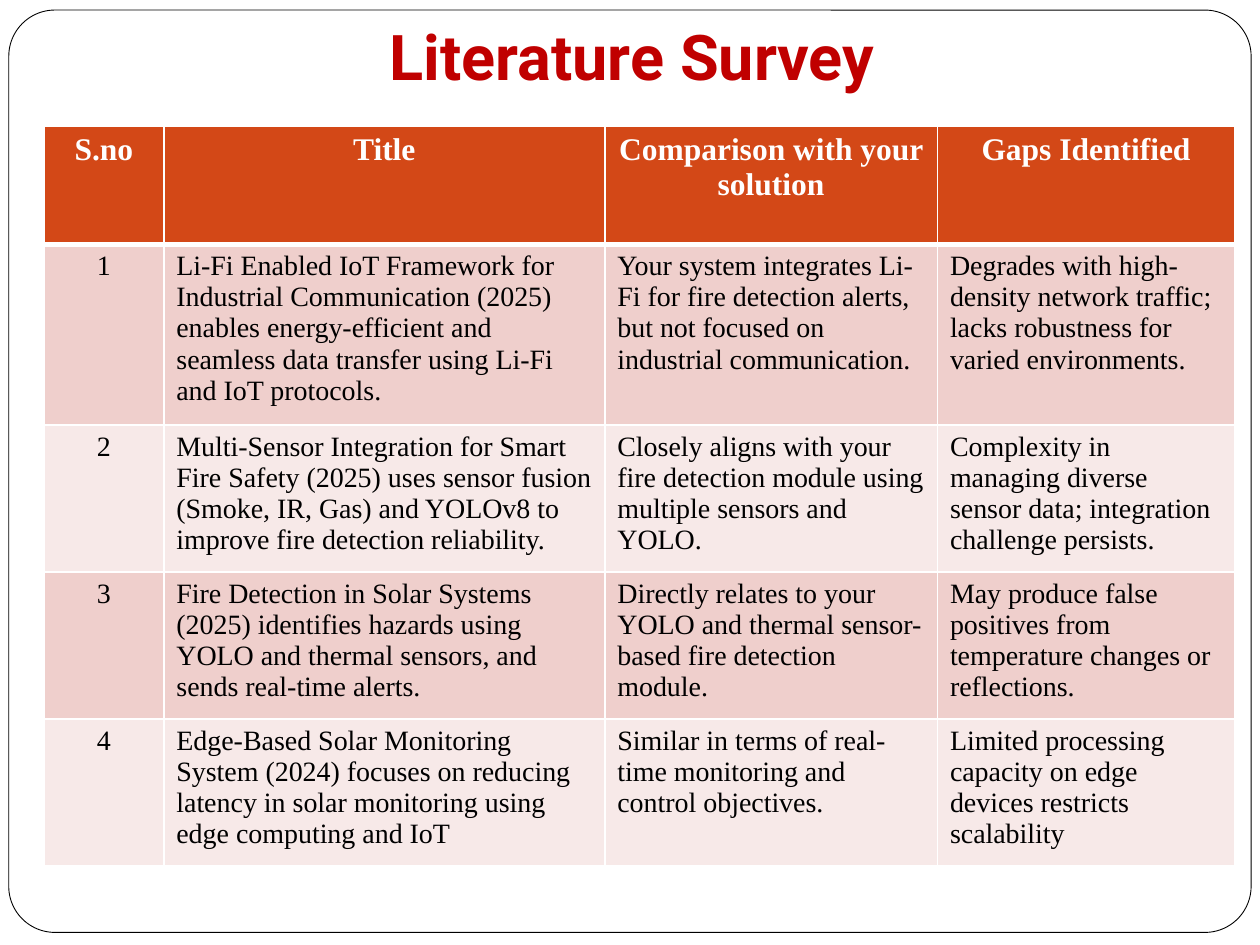
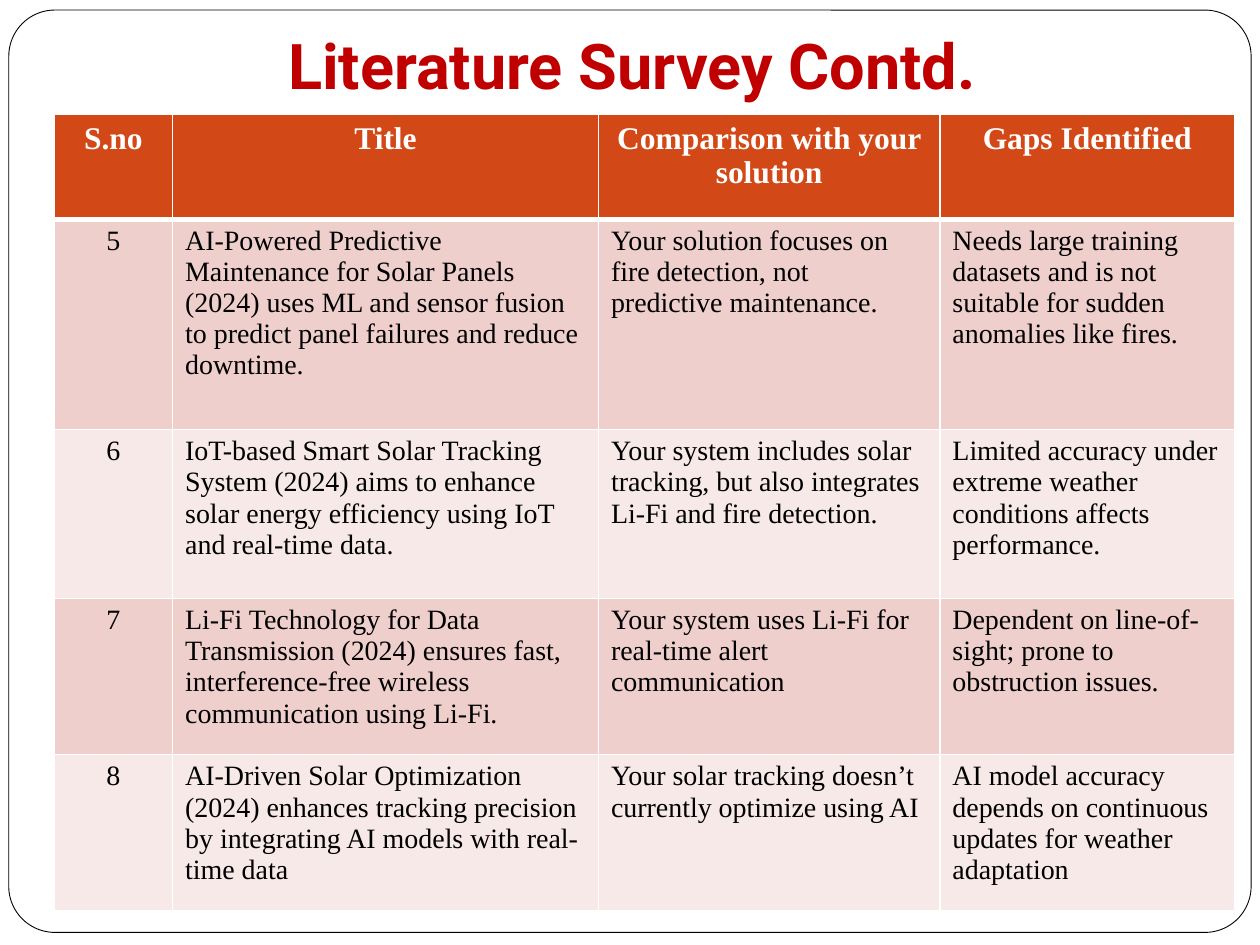
"""Build the two literature survey slides."""
from pptx import Presentation
from pptx.dml.color import RGBColor
from pptx.enum.shapes import MSO_SHAPE as Shape
from pptx.enum.text import MSO_ANCHOR as Anchor, PP_ALIGN as Align
from pptx.oxml import parse_xml
from pptx.oxml.ns import nsdecls
from pptx.util import Inches, Pt

WHITE = RGBColor(0xFF, 0xFF, 0xFF)
BLACK = RGBColor(0, 0, 0)
RED = RGBColor(0xC0, 0, 0)
RUST = RGBColor(0xD3, 0x48, 0x17)
ROSE = RGBColor(0xEF, 0xCF, 0xCC)
PALE = RGBColor(0xF7, 0xE9, 0xE8)

HEADS = ["S.no", "Title", "Comparison with your solution", "Gaps Identified"]

PAGES = [
    {
        "title": "Literature Survey ",
        "depth": 0.63,
        "left": 0.35,
        "top": 1,
        "cols": [0.95, 3.5, 2.64, 2.36],
        "rows": [0.94, 0.99, 0.99, 0.99, 0.99],
        "works": [
            ("1",
             "Li-Fi Enabled IoT Framework for Industrial Communication (2025) enables "
             "energy-efficient and seamless data transfer using Li-Fi and IoT protocols.",
             "Your system integrates Li-Fi for fire detection alerts, but not focused on "
             "industrial communication.",
             "Degrades with high-density network traffic; lacks robustness for varied "
             "environments."),
            ("2",
             "Multi-Sensor Integration for Smart Fire Safety (2025) uses sensor fusion "
             "(Smoke, IR, Gas) and YOLOv8 to improve fire detection reliability.",
             "Closely aligns with your fire detection module using multiple sensors and YOLO.",
             "Complexity in managing diverse sensor data; integration challenge persists."),
            ("3",
             "Fire Detection in Solar Systems (2025) identifies hazards using YOLO and "
             "thermal sensors, and sends real-time alerts.",
             "Directly relates to your YOLO and thermal sensor-based fire detection module.",
             "May produce false positives from temperature changes or reflections."),
            ("4",
             "Edge-Based Solar Monitoring System (2024) focuses on reducing latency in "
             "solar monitoring using edge computing and IoT",
             "Similar in terms of real-time monitoring and control objectives.",
             "Limited processing capacity on edge devices restricts scalability"),
        ],
    },
    {
        "title": "Literature Survey Contd. ",
        "depth": 0.7,
        "left": 0.43,
        "top": 0.91,
        "cols": [0.94, 3.38, 2.71, 2.34],
        "rows": [0.83, 1.67, 1.34, 1.24, 1.24],
        "works": [
            ("5",
             "AI-Powered Predictive Maintenance for Solar Panels (2024) uses ML and sensor "
             "fusion to predict panel failures and reduce downtime.",
             "Your solution focuses on fire detection, not predictive maintenance.",
             "Needs large training datasets and is not suitable for sudden anomalies like "
             "fires."),
            ("6",
             "IoT-based Smart Solar Tracking System (2024) aims to enhance solar energy "
             "efficiency using IoT and real-time data.",
             "Your system includes solar tracking, but also integrates Li-Fi and fire "
             "detection.",
             "Limited accuracy under extreme weather conditions affects performance."),
            ("7",
             "Li-Fi Technology for Data Transmission (2024) ensures fast, interference-free "
             "wireless communication using Li-Fi.",
             "Your system uses Li-Fi for real-time alert communication",
             "Dependent on line-of-sight; prone to obstruction issues."),
            ("8",
             "AI-Driven Solar Optimization (2024) enhances tracking precision by "
             "integrating AI models with real-time data",
             "Your solar tracking doesn’t currently optimize using AI",
             "AI model accuracy depends on continuous updates for weather adaptation"),
        ],
    },
]


def style(para, face, size, color, bold):
    font = para.runs[0].font
    font.name = face
    font.size = Pt(size)
    font.color.rgb = color
    font.bold = bold


def edge(cell, row):
    widths = {"L": 1, "R": 1, "T": 3 if row == 1 else 1, "B": 3 if row == 0 else 1}
    for side, width in widths.items():
        cell._tc.get_or_add_tcPr().append(parse_xml(
            f'<a:ln{side} {nsdecls("a")} w="{Pt(width)}"><a:solidFill>'
            f'<a:srgbClr val="{WHITE}"/></a:solidFill></a:ln{side}>'))


deck = Presentation()
deck.slide_width = Inches(10)
deck.slide_height = Inches(7.5)

for page in PAGES:
    slide = deck.slides.add_slide(deck.slide_layouts[6])

    frame = slide.shapes.add_shape(
        Shape.ROUNDED_RECTANGLE, Inches(0.07), Inches(0.08), Inches(9.86), Inches(7.32))
    frame.adjustments[0] = 0.05
    frame.shadow.inherit = False
    frame.fill.solid()
    frame.fill.fore_color.rgb = WHITE
    frame.line.color.rgb = BLACK
    frame.line.width = Pt(0.5)

    box = slide.shapes.add_textbox(
        Inches(0.83), Inches(0.21), Inches(8.5), Inches(page["depth"]))
    text = box.text_frame
    text.word_wrap = True
    text.vertical_anchor = Anchor.BOTTOM
    text.margin_bottom = Inches(0.1)
    text.text = page["title"]
    text.paragraphs[0].alignment = Align.CENTER
    style(text.paragraphs[0], "Roboto", 36, RED, True)

    table = slide.shapes.add_table(
        len(page["rows"]), len(HEADS), Inches(page["left"]), Inches(page["top"]),
        Inches(sum(page["cols"])), Inches(sum(page["rows"]))).table
    for col, width in zip(table.columns, page["cols"]):
        col.width = Inches(width)
    for row, height in zip(table.rows, page["rows"]):
        row.height = Inches(height)

    for r, line in enumerate([HEADS, *page["works"]]):
        head = r == 0
        for c, words in enumerate(line):
            cell = table.cell(r, c)
            edge(cell, r)
            cell.fill.solid()
            cell.fill.fore_color.rgb = RUST if head else ROSE if r % 2 else PALE
            cell.text_frame.text = words
            para = cell.text_frame.paragraphs[0]
            para.alignment = Align.CENTER if head or c == 0 else Align.LEFT
            style(para, "Times New Roman", 18 if head else 16,
                  WHITE if head else BLACK, head)

deck.save("out.pptx")
